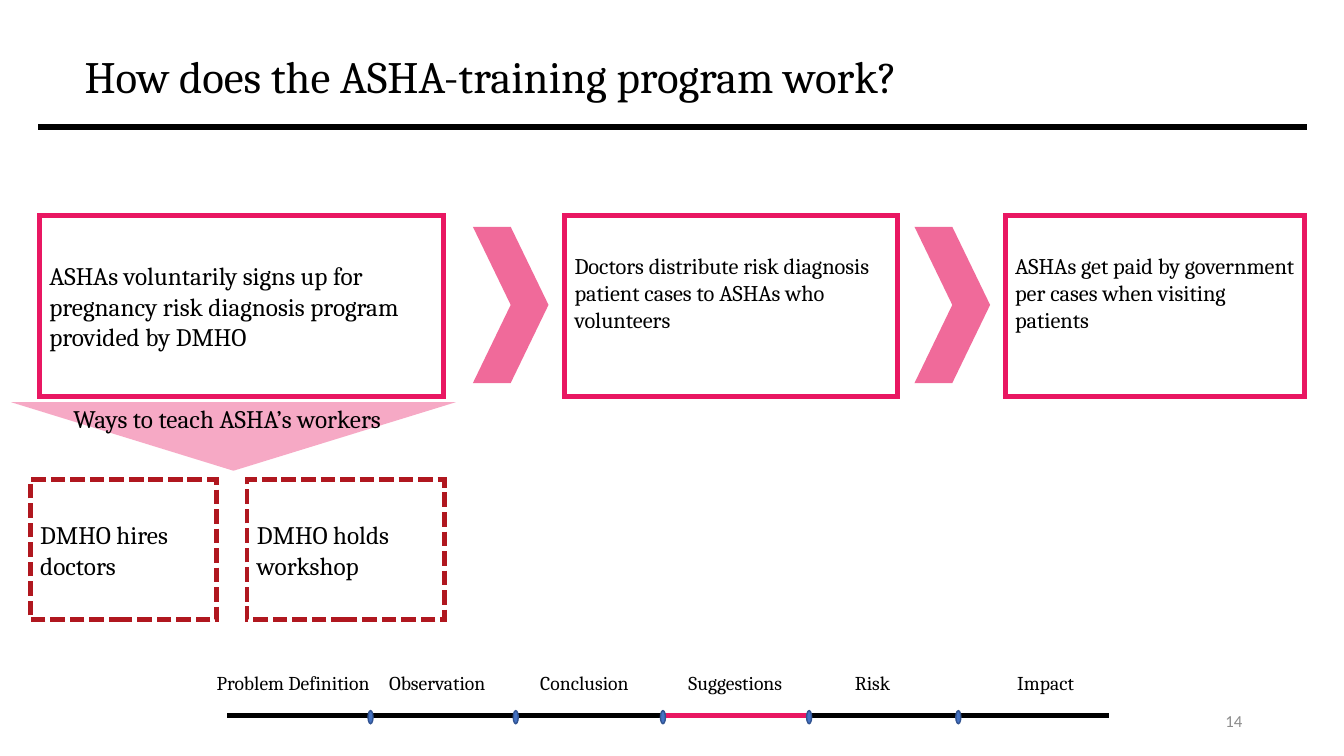
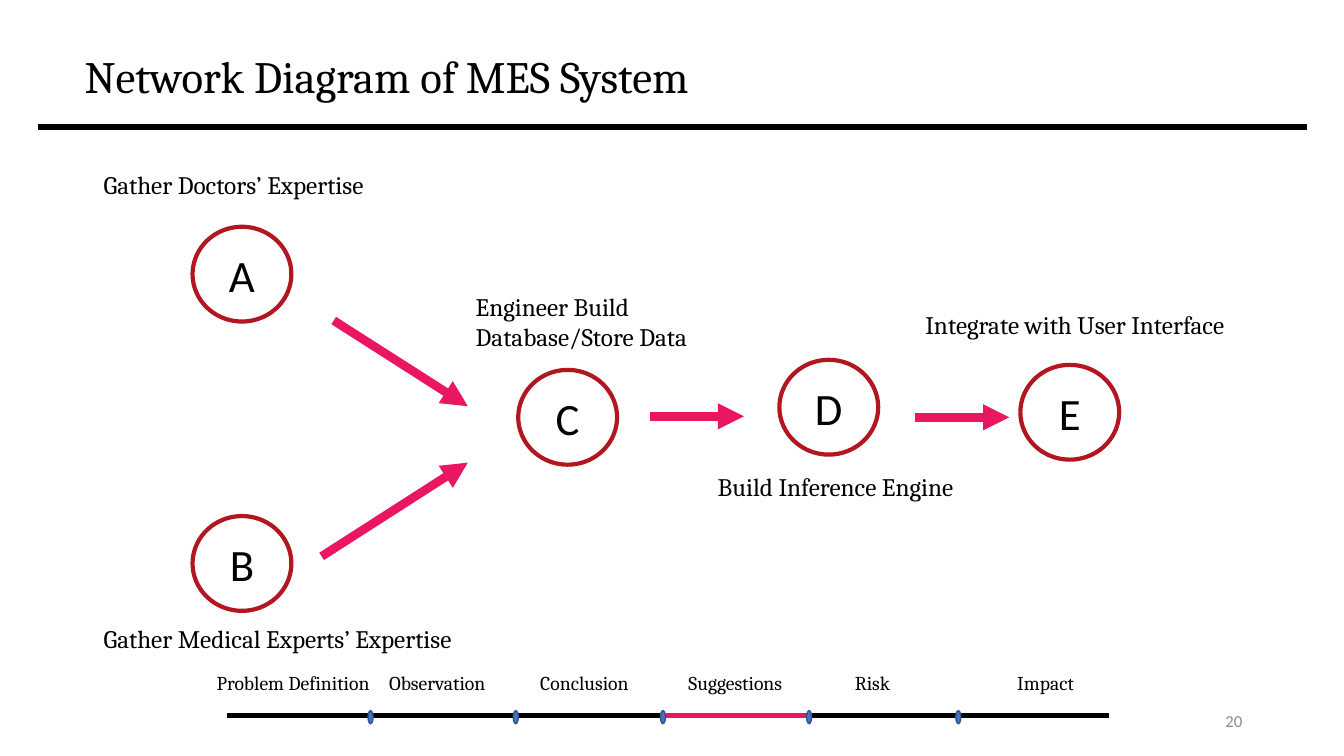
import lxml.etree
import pptx
import pptx.dml.color
import pptx.enum.dml
import pptx.enum.shapes
import pptx.enum.text
import pptx.oxml.ns
import pptx.util

PX = 9144  # EMU in one px, 100 px to the inch
HUES = {
    "ink": "000000", "paper": "FFFFFF", "pink": "E91762", "red": "B0171F",
    "blue": "4472C4", "navy": "325491", "gray": "8C8C8C",
}
SHAPE = pptx.enum.shapes.MSO_SHAPE
ALIGN = pptx.enum.text.PP_ALIGN
ANCHOR = pptx.enum.text.MSO_ANCHOR
FIT = pptx.enum.text.MSO_AUTO_SIZE
DASH = pptx.enum.dml.MSO_LINE.SQUARE_DOT

# Label, left and width of each section, and the dots between them
STEPS = [
    ("Problem Definition", 205, 180), ("Observation", 376, 122),
    ("Conclusion", 526, 113), ("Suggestions", 673, 120),
    ("Risk", 838, 57), ("Impact", 999, 79),
]
DOTS = [365, 509, 655, 800, 948]


def hue(name):
    return pptx.dml.color.RGBColor.from_string(HUES[name])


def put(item, values):
    for name, value in values.items():
        setattr(item, name, value)


def node(root, tag, **values):
    return lxml.etree.SubElement(root, pptx.oxml.ns.qn(tag), values)


class Deck:
    def __init__(self):
        self.show = pptx.Presentation()
        put(self.show, {"slide_width": 1333 * PX, "slide_height": 750 * PX})
        self.slide = None

    def page(self, title, number, mark):
        """Start a slide with its title, rules, number and progress bar."""
        self.slide = self.show.slides.add_slide(self.show.slide_layouts[6])
        self.text((74, 6, 1150, 145), [title], 32, anchor=ANCHOR.MIDDLE,
                  para={"line_spacing": 0.9})
        self.bar(-188, 117, 1710)
        self.bar(68, 701, 1189)
        self.bar(mark, 701, 193, "pink")
        self.text((942, 695, 300, 40), [number], 12, "Calibri", "gray",
                  anchor=ANCHOR.MIDDLE, para={"alignment": ALIGN.RIGHT})
        for label, left, width in STEPS:
            self.label((left, 661, width, 34), label, 14, wrap=False)
        for left in DOTS:
            self.shape(SHAPE.OVAL, (left, 705, 5, 13), "blue", "navy", 1)

    def words(self, frame, lines, size, font="Cambria", color="ink",
              anchor=ANCHOR.TOP, wrap=True, para=None):
        put(frame, {"word_wrap": wrap, "vertical_anchor": anchor})
        for i, line in enumerate(lines):
            part = frame.add_paragraph() if i else frame.paragraphs[0]
            part.text = line
            put(part, {"alignment": ALIGN.LEFT, **(para or {})})
            put(part.font, {"name": font, "size": pptx.util.Pt(size)})
            part.font.color.rgb = hue(color)

    def text(self, area, lines, size, *style, **more):
        box = self.slide.shapes.add_textbox(*(n * PX for n in area))
        self.words(box.text_frame, lines, size, *style, **more)
        return box

    def label(self, area, line, size=18, wrap=True):
        box = self.text(area, [line], size, wrap=wrap)
        box.text_frame.auto_size = FIT.SHAPE_TO_FIT_TEXT

    def shape(self, kind, area, fill, line=None, width=1, dash=None, alpha=None):
        item = self.slide.shapes.add_shape(kind, *(n * PX for n in area))
        item.shadow.inherit = False
        item.fill.solid()
        item.fill.fore_color.rgb = hue(fill)
        if alpha:
            tint = item._element.spPr.find(".//" + pptx.oxml.ns.qn("a:srgbClr"))
            node(tint, "a:alpha", val=str(alpha * 1000))
        if line:
            item.line.color.rgb = hue(line)
            put(item.line, {"width": pptx.util.Pt(width), "dash_style": dash})
            node(item._element.spPr.get_or_add_ln(), "a:miter", lim="800000")
        else:
            item.line.fill.background()
        return item

    def bar(self, left, top, width, color="ink"):
        self.shape(SHAPE.MATH_MINUS, (left, top, width, 18), color, color)

    def card(self, area, lines, size=18, line="pink", width=3.75, dash=None,
             low=5):
        item = self.shape(SHAPE.RECTANGLE, area, "paper", line, width, dash)
        item.text_frame.margin_bottom = low * PX
        self.words(item.text_frame, lines, size, anchor=ANCHOR.MIDDLE)

    def ring(self, left, top, letter):
        item = self.shape(SHAPE.OVAL, (left, top, 98, 94), "paper", "red", 3)
        self.words(item.text_frame, [letter], 32, "Calibri",
                   anchor=ANCHOR.MIDDLE, para={"alignment": ALIGN.CENTER})

    def arrow(self, *ends):
        kind = pptx.enum.shapes.MSO_CONNECTOR.STRAIGHT
        item = self.slide.shapes.add_connector(kind, *(n * PX for n in ends))
        item.line.color.rgb = hue("pink")
        item.line.width = pptx.util.Pt(6.25)
        node(item._element.spPr.get_or_add_ln(), "a:tailEnd", type="triangle")
        node(item._element.spPr, "a:effectLst")

    def train(self):
        self.page("How does the ASHA-training program work?", "14", 634)
        # Three steps
        self.card((39, 214, 401, 179), [
            "ASHAs voluntarily signs up for",
            "pregnancy risk diagnosis program provided by DMHO"])
        self.card((560, 214, 330, 179), [
            "Doctors distribute risk diagnosis",
            "patient cases to ASHAs who volunteers"], 16, low=31)
        self.card((997, 214, 297, 179), [
            "ASHAs get paid by government per cases when visiting patients"],
            16, low=31)
        for left in (469, 907):
            self.shape(SHAPE.CHEVRON, (left, 225, 75, 155), "pink", alpha=64)
        # Ways to teach
        wedge = self.shape(SHAPE.ISOSCELES_TRIANGLE, (11, 399, 441, 68),
                           "pink", alpha=37)
        wedge.rotation = 180
        self.label((63, 395, 344, 40), "Ways to teach ASHA’s workers", wrap=False)
        for left, width, line in ((30, 185, "DMHO hires doctors"),
                                  (245, 196, "DMHO holds workshop")):
            self.card((left, 476, width, 139), [line], 18, "red", 3.5, DASH)

    def network(self):
        self.page("Network Diagram of MES System", "20", 631)
        # Nodes
        for left, top, letter in ((191, 225, "A"), (191, 512, "B"),
                                  (514, 367, "C"), (773, 357, "D"),
                                  (1012, 362, "E")):
            self.ring(left, top, letter)
        # Links
        for ends in ((331, 318, 464, 403), (319, 552, 464, 459),
                     (645, 413, 738, 413), (908, 414, 1001, 414)):
            self.arrow(*ends)
        # Tasks
        for area, line in (
                ((93, 163, 609, 40), "Gather Doctors’ Expertise"),
                ((93, 613, 382, 40), "Gather Medical Experts’ Expertise"),
                ((462, 284, 300, 71), "Engineer Build Database/Store Data"),
                ((702, 463, 309, 40), "Build Inference Engine"),
                ((908, 302, 334, 40), "Integrate with User Interface")):
            self.label(area, line)


def main():
    deck = Deck()
    deck.train()
    deck.network()
    deck.show.save("out.pptx")


if __name__ == "__main__":
    main()
